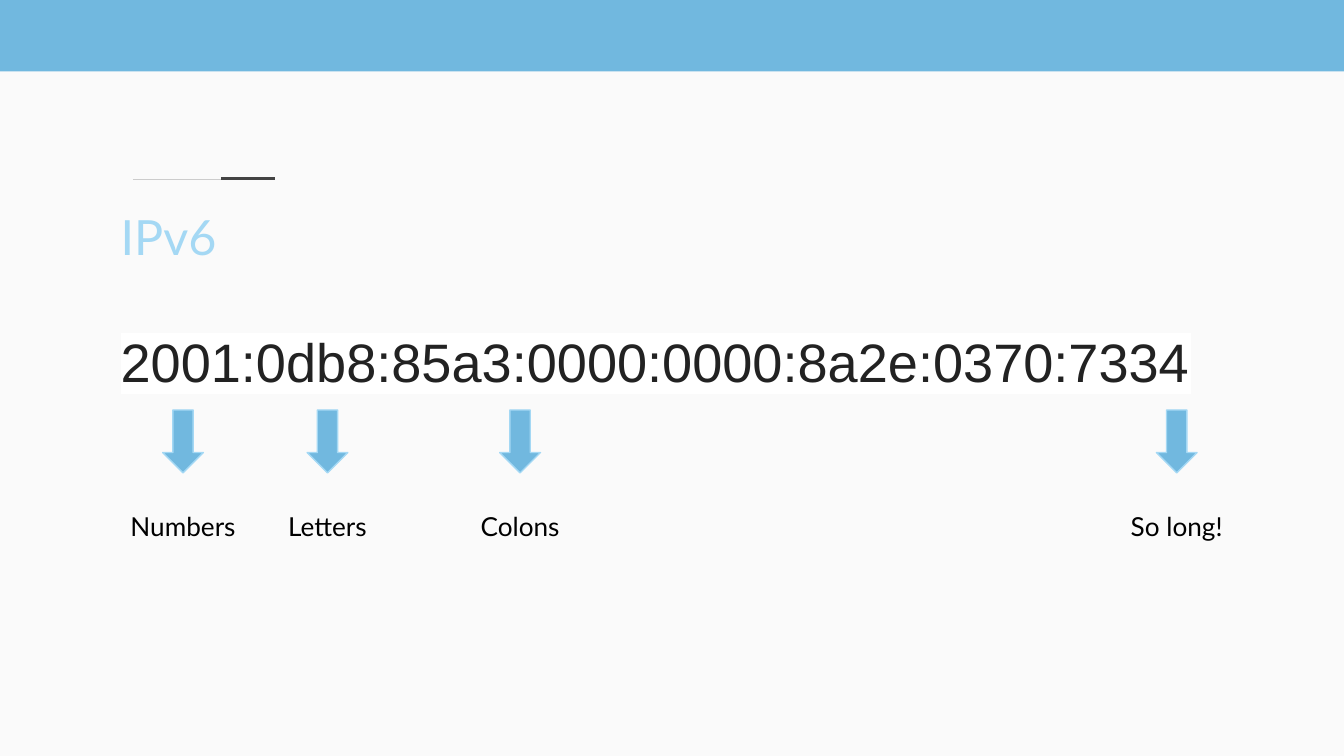
from dataclasses import dataclass

from lxml.etree import SubElement
from pptx import Presentation
from pptx.dml.color import RGBColor
from pptx.enum.shapes import MSO_CONNECTOR, MSO_SHAPE
from pptx.enum.text import MSO_ANCHOR, PP_ALIGN
from pptx.oxml.ns import qn
from pptx.slide import Slide
from pptx.text.text import _Run as Span
from pptx.util import Cm, Pt

SKY, PALE_SKY, PAPER = "71B8DF", "A4D8F4", "FAFAFA"
INSET = Cm(0.25)
ARROW_TOP, ARROW_WIDTH, ARROW_HEIGHT = 7.75, 0.77, 1.19
LABEL_TOP, LABEL_WIDTH, LABEL_HEIGHT = 9.4, 2.62, 1.5


@dataclass
class Box:
    """A rectangle in centimetres."""
    left: float
    top: float
    width: float
    height: float

    def lengths(self) -> tuple:
        return Cm(self.left), Cm(self.top), Cm(self.width), Cm(self.height)


@dataclass
class Rule:
    left: float
    right: float
    y: float
    colour: str
    weight: float


@dataclass
class Callout:
    """An arrow and its label, both centred on one x position."""
    text: str
    centre: float


RULES = [
    Rule(2.51, 4.18, 3.39, "CCCCCC", 0.5),
    Rule(4.18, 5.2, 3.37, "434343", 1.5),
]
CALLOUTS = [
    Callout("Numbers", 3.46),
    Callout("Letters", 6.19),
    Callout("Colons", 9.83),
    Callout("So long!", 22.24),
]


def rgb(colour: str) -> RGBColor:
    return RGBColor.from_string(colour)


def apply(target, values: dict) -> None:
    for name, value in values.items():
        setattr(target, name, value)


def add_filled(page: Slide, kind: MSO_SHAPE, box: Box, outline: str | None = None) -> None:
    shape = page.shapes.add_shape(kind, *box.lengths())
    shape.shadow.inherit = False
    shape.fill.solid()
    shape.fill.fore_color.rgb = rgb(SKY)
    if outline:
        shape.line.color.rgb = rgb(outline)
        shape.line.width = Pt(0.75)
    else:
        shape.line.fill.background()


def add_rule(page: Slide, rule: Rule) -> None:
    line = page.shapes.add_connector(
        MSO_CONNECTOR.STRAIGHT, Cm(rule.left), Cm(rule.y), Cm(rule.right), Cm(rule.y))
    line.line.color.rgb = rgb(rule.colour)
    line.line.width = Pt(rule.weight)
    SubElement(line._element.spPr, qn("a:effectLst"))


def add_text(page: Slide, text: str, box: Box, size: float, colour: str,
             font: str = "Lato", **paragraph_format) -> Span:
    frame = page.shapes.add_textbox(*box.lengths()).text_frame
    apply(frame, {
        "word_wrap": True, "vertical_anchor": MSO_ANCHOR.TOP,
        "margin_left": INSET, "margin_right": INSET,
        "margin_top": INSET, "margin_bottom": INSET,
    })
    para = frame.paragraphs[0]
    apply(para, paragraph_format)
    span = para.add_run()
    span.text = text
    apply(span.font, {"name": font, "size": Pt(size)})
    span.font.color.rgb = rgb(colour)
    return span


def highlight(span: Span, colour: str) -> None:
    properties = span.font._element
    mark = SubElement(properties, qn("a:highlight"))
    SubElement(mark, qn("a:srgbClr"), val=colour)
    properties.find(qn("a:latin")).addprevious(mark)


def add_callout(page: Slide, callout: Callout) -> None:
    arrow = Box(callout.centre - ARROW_WIDTH / 2, ARROW_TOP, ARROW_WIDTH, ARROW_HEIGHT)
    label = Box(callout.centre - LABEL_WIDTH / 2, LABEL_TOP, LABEL_WIDTH, LABEL_HEIGHT)
    add_filled(page, MSO_SHAPE.DOWN_ARROW, arrow, outline=PALE_SKY)
    add_text(page, callout.text, label, 14, "000000", alignment=PP_ALIGN.CENTER)


def main() -> None:
    deck = Presentation()
    apply(deck, {"slide_width": Cm(25.4), "slide_height": Cm(14.29)})
    page = deck.slides.add_slide(deck.slide_layouts[6])
    page.background.fill.solid()
    page.background.fill.fore_color.rgb = rgb(PAPER)

    add_filled(page, MSO_SHAPE.RECTANGLE, Box(0, 0, 25.4, 1.35))
    for rule in RULES:
        add_rule(page, rule)
    add_text(page, "IPv6", Box(2.03, 3.66, 21.36, 1.5), 26, PALE_SKY)
    address = add_text(
        page, "2001:0db8:85a3:0000:0000:8a2e:0370:7334", Box(2.03, 5.77, 21.36, 2.08),
        29, "222222", font="Arial", line_spacing=1.15, space_after=Pt(16))
    highlight(address, "FFFFFF")
    for callout in CALLOUTS:
        add_callout(page, callout)
    deck.save("out.pptx")


if __name__ == "__main__":
    main()
